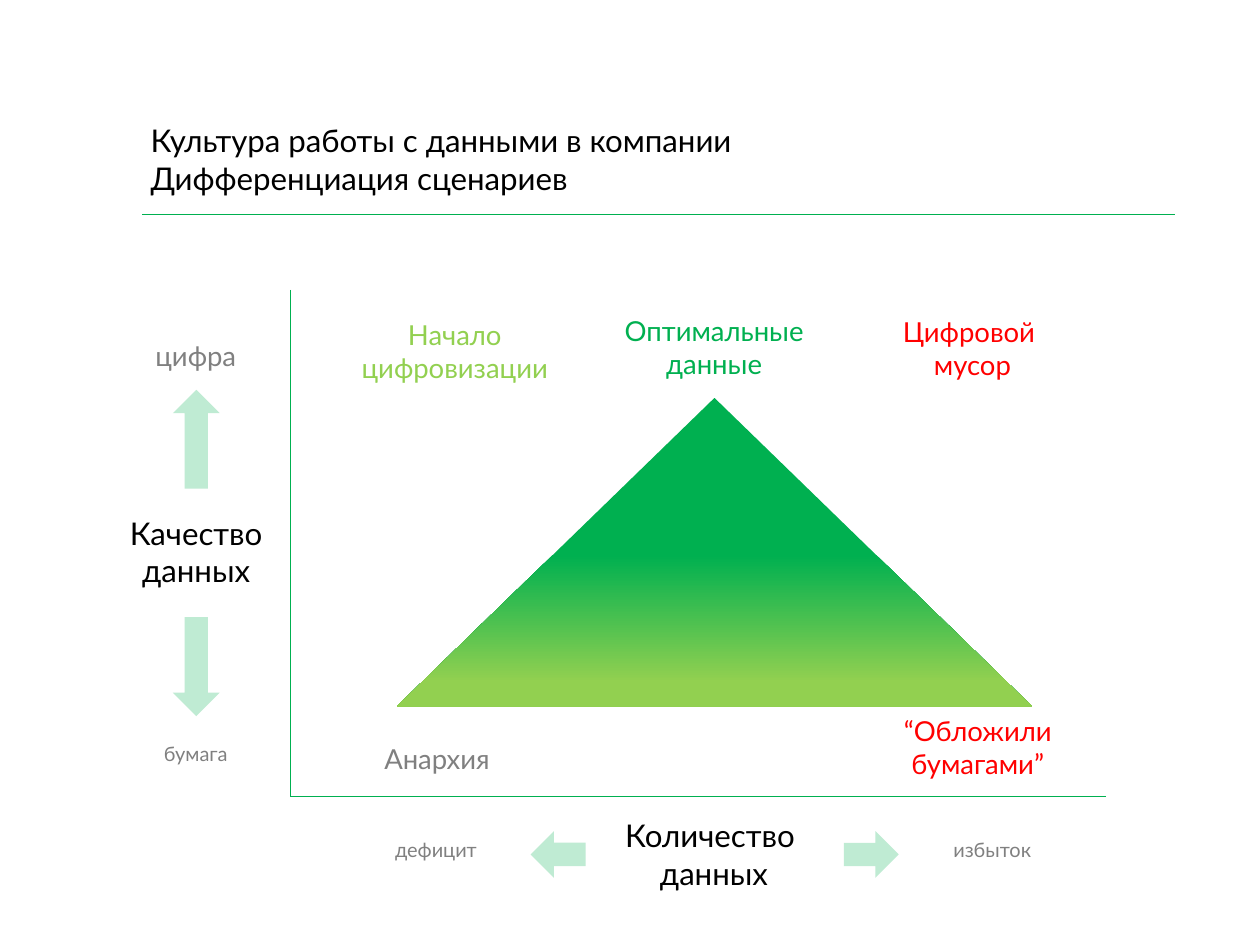
import copy
import lxml.etree
import pptx
import pptx.util
import pptx.dml.color
import pptx.enum.shapes
import pptx.enum.text
import pptx.oxml.ns

Cm = pptx.util.Cm
Pt = pptx.util.Pt
SHAPE = pptx.enum.shapes.MSO_SHAPE
ALIGN = pptx.enum.text.PP_ALIGN
qn = pptx.oxml.ns.qn

COLORS = {
    "green": "00B050",
    "lime": "92D050",
    "red": "FF0000",
    "gray": "808080",
    "black": "000000",
}


def rgb(color):
    return pptx.dml.color.RGBColor.from_string(COLORS[color])


def add_shape(kind, left, top, width, height):
    shape = slide.shapes.add_shape(kind, Cm(left), Cm(top), Cm(width), Cm(height))
    shape.shadow.inherit = False
    shape.line.fill.background()
    return shape


presentation = pptx.Presentation()
presentation.slide_width = Cm(35.56)
presentation.slide_height = Cm(26.67)
slide = presentation.slides.add_slide(presentation.slide_layouts[6])

pyramid = add_shape(SHAPE.ISOSCELES_TRIANGLE, 11.2, 11.23, 17.93, 8.71)
pyramid.fill.gradient()
pyramid.fill.gradient_angle = 270
stop_list = next(pyramid._element.spPr.iter(qn("a:gsLst")))
stop_list.append(copy.deepcopy(stop_list[-1]))
gradient = [(0, "green"), (0.51, "green"), (0.92, "lime")]
for stop, (position, color) in zip(pyramid.fill.gradient_stops, gradient):
    stop.position = position
    stop.color.rgb = rgb(color)

labels = [
    ("избыток", 25.35, 23.47, 5.31, 1.04, 16, "gray"),
    ("дефицит", 9.65, 23.47, 5.31, 1.04, 16, "gray"),
    ("цифра", 2.87, 9.4, 5.31, 1.32, 22, "gray"),
    ("бумага", 2.87, 20.75, 5.31, 1.04, 16, "gray"),
    ("Цифровой \nмусор", 23.8, 8.71, 7.29, 2.29, 22, "red"),
    ("Количество \nданных", 14.83, 22.86, 10.64, 2.51, 25, "black"),
    ("Качество\nданных", 1.42, 14.33, 8.23, 2.51, 25, "black"),
    ("Анархия", 8.69, 20.75, 7.29, 1.32, 22, "gray"),
    ("Оптимальные\nданные", 16.51, 8.69, 7.29, 2.29, 22, "green"),
    ("Начало цифровизации", 9.19, 8.79, 7.29, 2.29, 22, "lime"),
    ("“Обложили бумагами”", 23.95, 19.96, 7.29, 2.29, 22, "red"),
    ("Культура работы с данными в компании\nДифференциация сценариев",
     3.89, 3.25, 28.73, 2.51, 25, "black"),
]
for text, left, top, width, height, size, color in labels:
    label = slide.shapes.add_textbox(Cm(left), Cm(top), Cm(width), Cm(height))
    frame = label.text_frame
    frame.word_wrap = True
    frame.auto_size = pptx.enum.text.MSO_AUTO_SIZE.SHAPE_TO_FIT_TEXT
    frame.margin_left = frame.margin_right = Cm(0.36)
    frame.margin_top = frame.margin_bottom = Cm(0.18)
    frame.text = text
    for paragraph in frame.paragraphs:
        paragraph.alignment = ALIGN.LEFT if text.startswith("Культура") else ALIGN.CENTER
        paragraph.font.name = "Lato"
        paragraph.font.size = Pt(size)
        paragraph.font.color.rgb = rgb(color)

arrows = [
    (4.88, 11, 2.79, 180),
    (4.88, 17.42, 2.79, 0),
    (15.09, 23.34, 1.55, 90),
    (23.93, 23.34, 1.55, 270),
]
for left, top, length, rotation in arrows:
    arrow = add_shape(SHAPE.DOWN_ARROW, left, top, 1.32, length)
    arrow.rotation = rotation
    arrow.fill.solid()
    arrow.fill.fore_color.rgb = rgb("green")
    fill_color = next(arrow._element.spPr.iter(qn("a:srgbClr")))
    lxml.etree.SubElement(fill_color, qn("a:alpha"), val="25000")

rules = [
    (8.2, 8.18, 8.2, 22.48),
    (31.22, 22.48, 8.2, 22.48),
    (4.01, 6.05, 33.17, 6.05),
]
for ends in rules:
    rule = slide.shapes.add_connector(
        pptx.enum.shapes.MSO_CONNECTOR.STRAIGHT, *[Cm(end) for end in ends])
    rule.line.color.rgb = rgb("green")
    rule.line.width = Pt(0.75)
    lxml.etree.SubElement(rule._element.spPr, qn("a:effectLst"))

presentation.save("out.pptx")
